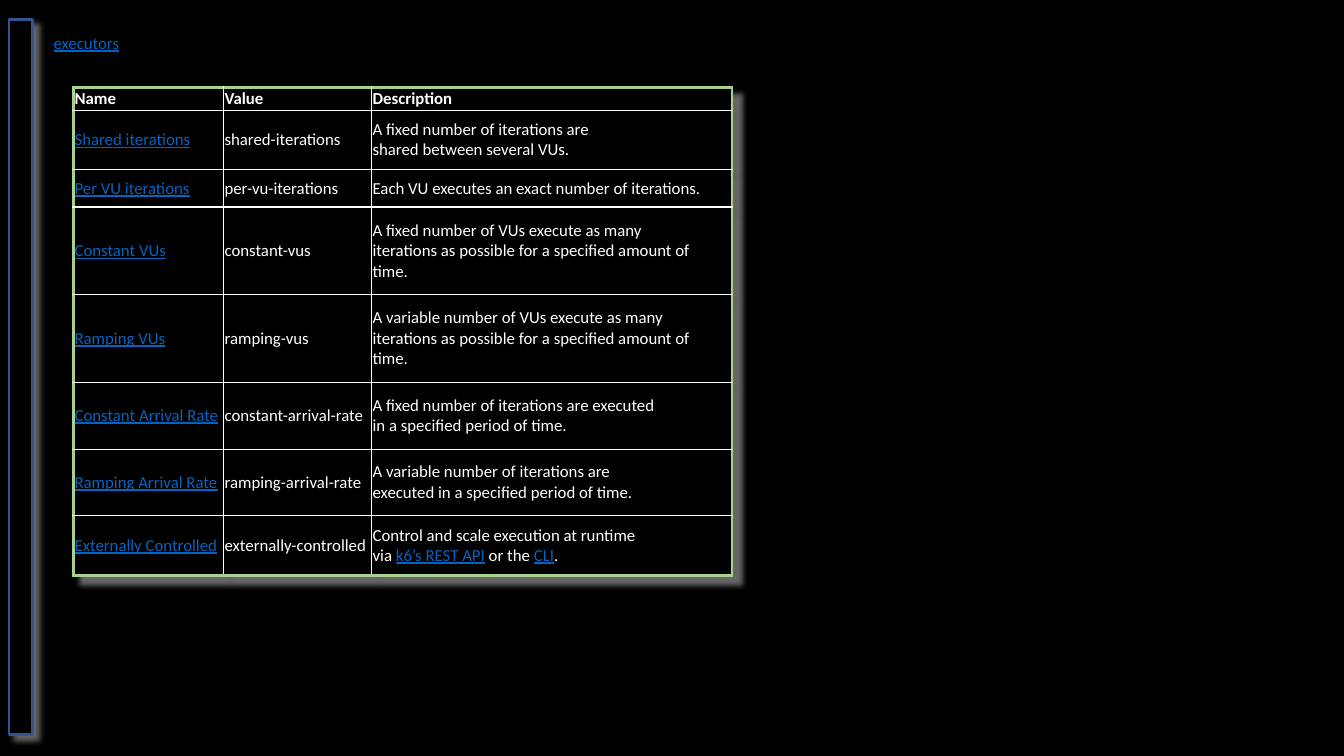
from dataclasses import dataclass
from typing import NamedTuple

from lxml import etree
from pptx import Presentation
from pptx.dml.color import RGBColor
from pptx.enum import shapes, text
from pptx.oxml import ns
from pptx.util import Cm, Pt


@dataclass(frozen=True)
class Theme:
    """Colours, font and sizes of the slide."""
    ground: str = "000000"
    ink: str = "FFFFFF"
    link: str = "0563C1"
    frame: str = "A9D18E"
    bar_line: str = "325491"
    font: str = "Calibri"
    size: float = 12
    grid_width: float = 1
    frame_width: float = 2.25


class Box(NamedTuple):
    """A region in centimetres."""
    left: float
    top: float
    width: float
    height: float

    def lengths(self):
        """Return the four lengths for a shape."""
        return [Cm(value) for value in self]


class Span(NamedTuple):
    """A stretch of text with one style."""
    words: str
    linked: bool = False
    bold: bool = False


THEME = Theme()
COLUMNS = [3.78, 3.73, 9.09]
ROW_HEIGHTS = [0.55, 1.5, 0.94, 2.21, 2.21, 1.68, 1.68, 1.5]
HEADINGS = ["Name", "Value", "Description"]
EXECUTORS = [
    ("Shared iterations", "shared-iterations",
     [Span("A fixed number of iterations are\nshared between several VUs.")]),
    ("Per VU iterations", "per-vu-iterations",
     [Span("Each VU executes an exact number of iterations.")]),
    ("Constant VUs", "constant-vus",
     [Span("A fixed number of VUs execute as many\n"
           "iterations as possible for a specified amount of time.")]),
    ("Ramping VUs", "ramping-vus",
     [Span("A variable number of VUs execute as many\n"
           "iterations as possible for a specified amount of time.")]),
    ("Constant Arrival Rate", "constant-arrival-rate",
     [Span("A fixed number of iterations are executed\nin a specified period of time.")]),
    ("Ramping Arrival Rate", "ramping-arrival-rate",
     [Span("A variable number of iterations are\nexecuted in a specified period of time.")]),
    ("Externally Controlled", "externally-controlled",
     [Span("Control and scale execution at runtime\nvia "), Span("k6’s REST API", True),
      Span(" or the "), Span("CLI", True), Span(".")]),
]


def add_element(parent, tag, **attributes):
    """Append a DrawingML element and return it."""
    values = {name: str(value) for name, value in attributes.items()}
    return etree.SubElement(parent, ns.qn(tag), values)


def cast_shadow(effects, distance):
    """Fill an effect list with a soft shadow towards the lower right."""
    shadow = add_element(effects, "a:outerShdw", blurRad=Pt(4), dist=Pt(distance),
                         dir=45 * 60000, algn="tl", rotWithShape=0)
    colour = add_element(shadow, "a:srgbClr", val=THEME.ink)
    add_element(colour, "a:alpha", val=40000)


def write_spans(para, spans):
    """Write styled runs, with a line break at each newline."""
    for span in spans:
        for index, words in enumerate(span.words.split("\n")):
            if index:
                para.add_line_break()
            run = para.add_run()
            run.text = words
            run.font.name = THEME.font
            run.font.size = Pt(THEME.size)
            run.font.bold = span.bold
            run.font.underline = span.linked
            run.font.color.rgb = RGBColor.from_string(THEME.link if span.linked else THEME.ink)


def draw_borders(cell, edges):
    """Draw a cell's sides, heavier and green on the table's edges."""
    properties = cell._tc.get_or_add_tcPr()
    for side, outer in edges.items():
        width = THEME.frame_width if outer else THEME.grid_width
        line = add_element(properties, f"a:ln{side}", w=Pt(width))
        fill = add_element(line, "a:solidFill")
        add_element(fill, "a:srgbClr", val=THEME.frame if outer else THEME.ink)


def add_side_bar(page, box):
    """Place the outlined bar at the left."""
    bar = page.shapes.add_shape(shapes.MSO_SHAPE.RECTANGLE, *box.lengths())
    bar.fill.solid()
    bar.fill.fore_color.rgb = RGBColor.from_string(THEME.ground)
    bar.line.color.rgb = RGBColor.from_string(THEME.bar_line)
    bar.line.width = Pt(2)
    bar.shadow.inherit = False
    cast_shadow(bar._element.spPr.find(ns.qn("a:effectLst")), 5)


def add_title(page, box):
    """Place the linked title."""
    frame = page.shapes.add_textbox(*box.lengths()).text_frame
    frame.word_wrap = False
    frame.auto_size = text.MSO_AUTO_SIZE.SHAPE_TO_FIT_TEXT
    write_spans(frame.paragraphs[0], [Span("executors", linked=True)])


def add_executor_table(page, box):
    """Place the table of executors."""
    rows = [[[Span(heading, bold=True)] for heading in HEADINGS]]
    rows += [[[Span(name, linked=True)], [Span(value)], description]
             for name, value, description in EXECUTORS]
    table = page.shapes.add_table(len(rows), len(COLUMNS), *box.lengths()).table
    effects = etree.Element(ns.qn("a:effectLst"))
    table._tbl.tblPr.insert(0, effects)
    cast_shadow(effects, 8)
    for column, width in zip(table.columns, COLUMNS):
        column.width = Cm(width)
    for row, height in zip(table.rows, ROW_HEIGHTS):
        row.height = Cm(height)
    for y, row in enumerate(rows):
        for x, spans in enumerate(row):
            cell = table.cell(y, x)
            cell.margin_left = cell.margin_top = cell.margin_bottom = Cm(0.03)
            cell.margin_right = Cm(0.1)
            cell.vertical_anchor = text.MSO_ANCHOR.MIDDLE
            draw_borders(cell, {"L": x == 0, "R": x == len(COLUMNS) - 1,
                                "T": y == 0, "B": y == len(rows) - 1})
            cell.fill.solid()
            cell.fill.fore_color.rgb = RGBColor.from_string(THEME.ground)
            write_spans(cell.text_frame.paragraphs[0], spans)


def main():
    """Build and save the deck."""
    deck = Presentation()
    deck.slide_width, deck.slide_height = Cm(33.87), Cm(19.05)
    page = deck.slides.add_slide(deck.slide_layouts[6])
    page.background.fill.solid()
    page.background.fill.fore_color.rgb = RGBColor.from_string(THEME.ground)
    add_side_bar(page, Box(0.23, 0.5, 0.6, 18))
    add_executor_table(page, Box(1.85, 2.2, sum(COLUMNS), sum(ROW_HEIGHTS)))
    add_title(page, Box(1.1, 0.69, 2.2, 0.77))
    deck.save("out.pptx")


if __name__ == "__main__":
    main()
